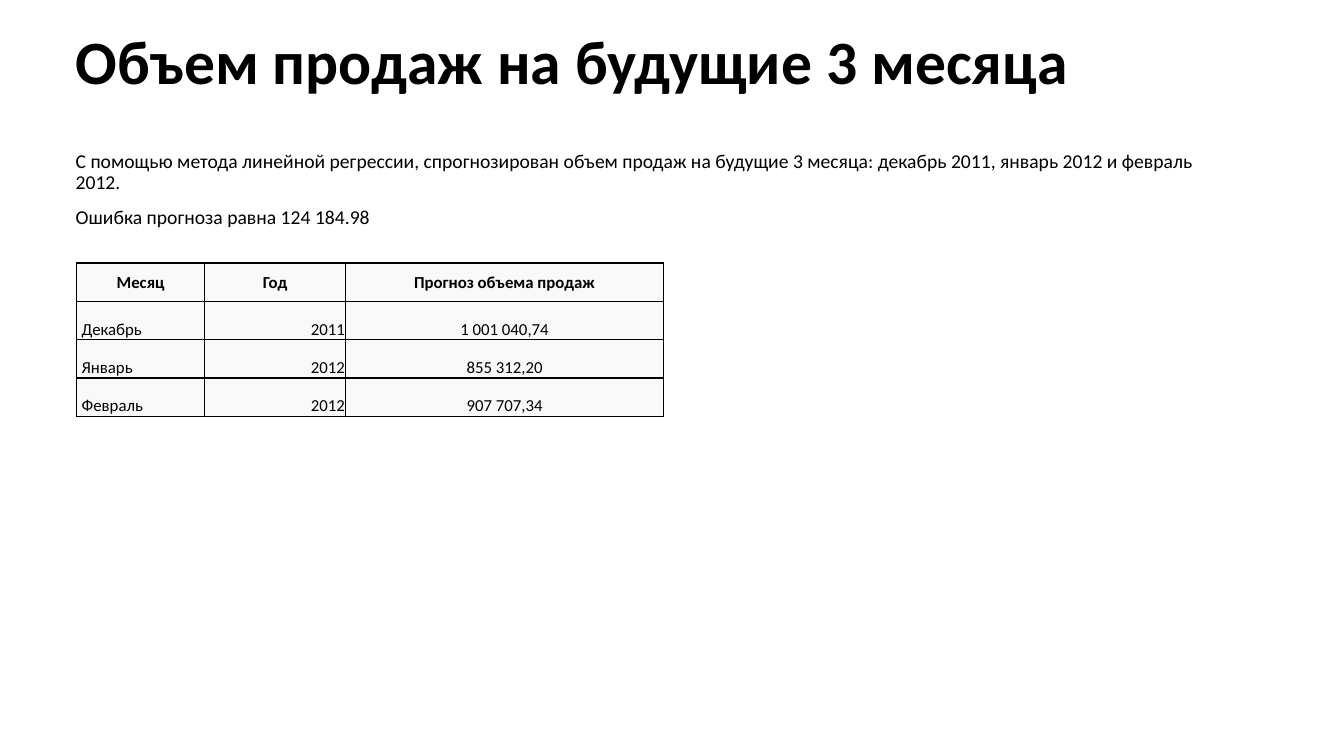
from lxml import etree
from pptx import Presentation
from pptx.dml.color import RGBColor
from pptx.enum.text import MSO_ANCHOR, MSO_AUTO_SIZE, PP_ALIGN
from pptx.oxml.ns import qn
from pptx.util import Inches, Pt

TOP, MIDDLE, BOTTOM = MSO_ANCHOR.TOP, MSO_ANCHOR.MIDDLE, MSO_ANCHOR.BOTTOM
LEFT, CENTER, RIGHT = PP_ALIGN.LEFT, PP_ALIGN.CENTER, PP_ALIGN.RIGHT
NO_AUTOFIT = MSO_AUTO_SIZE.NONE
TITLE_AND_CONTENT = 1


def color(value):
    """Return the colour for a hex string."""
    return RGBColor.from_string(value)


def apply(target, values):
    """Set every attribute named in a dict of format values."""
    for name, value in values.items():
        setattr(target, name, value)


class SlideBuilder:
    """Holds the style and the current slide."""

    font_name = "Calibri"
    ink = "000000"
    cell_fill = "F9F9F9"
    border_width = Pt(1)

    def __init__(self, presentation):
        """Add a slide with a title and a body placeholder."""
        layout = presentation.slide_layouts[TITLE_AND_CONTENT]
        self.slide = presentation.slides.add_slide(layout)

    def format_paragraph(self, paragraph, size, bold=False, **values):
        """Apply the font and the paragraph format."""
        apply(paragraph, values)
        apply(paragraph.font, {"name": self.font_name, "size": Pt(size), "bold": bold})
        paragraph.font.color.rgb = color(self.ink)

    def fill_placeholder(self, index, box, lines, size, **values):
        """Place a template placeholder and write its paragraphs."""
        shape = self.slide.placeholders[index]
        apply(shape, dict(zip(("left", "top", "width", "height"), map(Inches, box))))
        frame = shape.text_frame
        frame.text = "\n".join(lines)
        apply(frame, {"auto_size": NO_AUTOFIT, "vertical_anchor": TOP, "word_wrap": True})
        for paragraph in frame.paragraphs:
            self.format_paragraph(paragraph, size, alignment=LEFT, line_spacing=0.9, **values)
        return frame

    def title(self, box, text):
        """Write the slide title."""
        self.fill_placeholder(0, box, [text], 44, bold=True)

    def body(self, box, lines):
        """Write the body paragraphs without bullets."""
        frame = self.fill_placeholder(1, box, lines, 14, space_before=Pt(10))
        for paragraph in frame.paragraphs:
            properties = paragraph._p.get_or_add_pPr()
            properties.set("marL", "0")
            properties.set("indent", "0")
            bullet = etree.SubElement(properties, qn("a:buNone"))
            properties.find(qn("a:spcBef")).addnext(bullet)

    def border(self, cell):
        """Draw a line on all four sides of a cell."""
        properties = cell._tc.get_or_add_tcPr()
        for side in ("lnL", "lnR", "lnT", "lnB"):
            line = etree.SubElement(properties, qn(f"a:{side}"), w=str(self.border_width))
            fill = etree.SubElement(line, qn("a:solidFill"))
            etree.SubElement(fill, qn("a:srgbClr"), val=self.ink)

    def table(self, left, top, widths, row_height, rows, alignments):
        """Add a bordered table with a bold centred header row."""
        frame = self.slide.shapes.add_table(
            len(rows), len(widths), Inches(left), Inches(top),
            Inches(sum(widths)), Inches(row_height * len(rows)))
        table = frame.table
        apply(table, {"first_row": False, "horz_banding": False})
        for column, width in zip(table.columns, widths):
            column.width = Inches(width)
        for row_index, row in enumerate(rows):
            table.rows[row_index].height = Inches(row_height)
            header = row_index == 0
            for column_index, text in enumerate(row):
                cell = table.cell(row_index, column_index)
                alignment = CENTER if header else alignments[column_index]
                cell.text = text
                apply(cell, {
                    "margin_left": Inches(0.05 if alignment == LEFT else 0.01),
                    "margin_right": Inches(0.01),
                    "margin_top": Inches(0.01),
                    "margin_bottom": 0,
                    "vertical_anchor": MIDDLE if header else BOTTOM,
                })
                self.format_paragraph(cell.text_frame.paragraphs[0], 12,
                                      bold=header, alignment=alignment)
                self.border(cell)
                cell.fill.solid()
                cell.fill.fore_color.rgb = color(self.cell_fill)


presentation = Presentation()
apply(presentation, {"slide_width": Inches(13.33), "slide_height": Inches(7.5)})
builder = SlideBuilder(presentation)
builder.title((0.65, 0.26, 11.5, 1.45), "Объем продаж на будущие 3 месяца")
builder.body((0.65, 1.45, 11.5, 4.76), [
    "С помощью метода линейной регрессии, спрогнозирован объем продаж "
    "на будущие 3 месяца: декабрь 2011, январь 2012 и февраль 2012.",
    "Ошибка прогноза равна 124 184.98",
])
forecast = [
    ("Месяц", "Год", "Прогноз объема продаж"),
    ("Декабрь", "2011", "1 001 040,74"),
    ("Январь", "2012", "855 312,20"),
    ("Февраль", "2012", "907 707,34"),
]
builder.table(0.76, 2.61, (1.27, 1.4, 3.15), 0.38, forecast, (LEFT, RIGHT, CENTER))
presentation.save("out.pptx")
